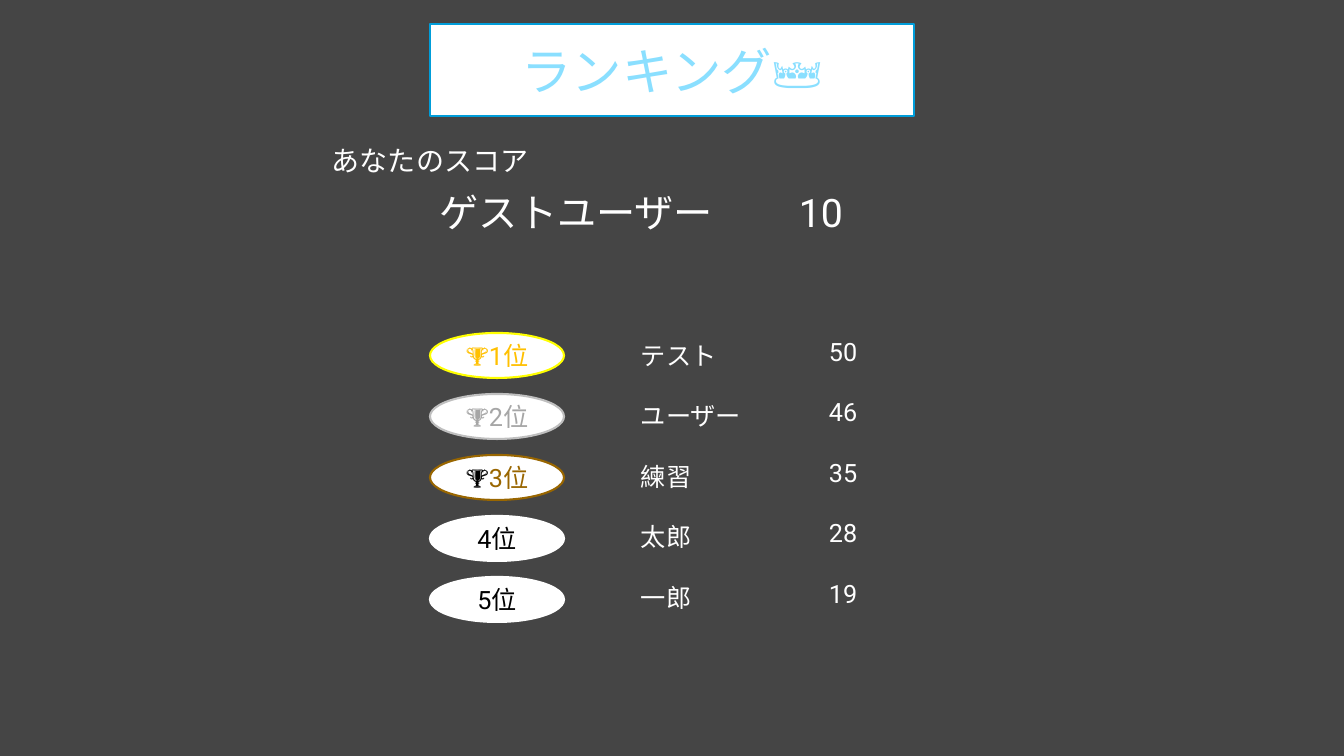
"""Build the quiz ranking slide with the player's own score and the top five."""
from dataclasses import dataclass

from lxml.etree import SubElement
from pptx import Presentation
from pptx.dml.color import RGBColor
from pptx.enum.shapes import MSO_SHAPE as Shape
from pptx.enum.text import MSO_ANCHOR as Anchor, MSO_AUTO_SIZE as AutoSize, PP_ALIGN as Align
from pptx.oxml.ns import qn
from pptx.util import Pt

PX = 12192000 / 1344


@dataclass(frozen=True)
class Theme:
    back: str = "454545"
    white: str = "FFFFFF"
    black: str = "000000"
    accent: str = "009DD9"
    title: str = "8ADFFF"
    title_font: str = "Noto Sans CJK JP"
    font: str = "Roboto"
    title_size: int = 36
    player_size: int = 28
    label_size: int = 20
    row_size: int = 18
    row_gap: float = 21.6


theme = Theme()
deck = Presentation()
deck.slide_width, deck.slide_height = round(1344 * PX), round(756 * PX)
page = deck.slides.add_slide(deck.slide_layouts[6])
page.background.fill.solid()
page.background.fill.fore_color.rgb = RGBColor.from_string(theme.back)


def write(para, spans, size, font=theme.font):
    para.font.size, para.font.name = Pt(size), font
    for text, color in spans:
        span = para.add_run()
        span.text = text
        span.font.color.rgb = RGBColor.from_string(color)


def add_box(kind, left, top, width, height, outline=None):
    area = [round(length * PX) for length in (left, top, width, height)]
    if kind is None:
        box = page.shapes.add_textbox(*area)
        box.text_frame.auto_size = AutoSize.SHAPE_TO_FIT_TEXT
    else:
        box = page.shapes.add_shape(kind, *area)
        box.shadow.inherit = False
        box.fill.solid()
        box.fill.fore_color.rgb = RGBColor.from_string(theme.white)
        box.line.color.rgb = RGBColor.from_string(outline)
        box.line.width = Pt(1.5)
        box.text_frame.vertical_anchor = Anchor.MIDDLE
        box.text_frame.paragraphs[0].alignment = Align.CENTER
    box.text_frame.word_wrap = True
    return box.text_frame


title = add_box(Shape.RECTANGLE, 430, 24, 484, 92, theme.accent).paragraphs[0]
write(title, [("ランキング👑", theme.title)], theme.title_size, theme.title_font)
title_props = title.runs[0].font._element
SubElement(title_props, qn("a:ea"), typeface=theme.title_font)
edge = SubElement(title_props, qn("a:ln"), w=str(Pt(1.75)))
SubElement(SubElement(edge, qn("a:solidFill")), qn("a:srgbClr"), val=theme.accent)
title_props.insert(0, edge)

label = add_box(None, 322, 139, 396, 44).paragraphs[0]
write(label, [("あなたのスコア", theme.white)], theme.label_size)

player = add_box(None, 430, 183, 484, 57).paragraphs[0]
write(player, [("ゲストユーザー\t10", theme.white)], theme.player_size)
tabs = SubElement(player._p.get_or_add_pPr(), qn("a:tabLst"))
SubElement(tabs, qn("a:tab"), pos=str(round(359 * PX)), algn="l")
player._p.pPr.insert(0, tabs)

ranks = [
    ([("🏆1位", "FFC000")], "FFFF00"),
    ([("🏆2位", "A6A6A6")], "BFBFBF"),
    ([("🏆", theme.black), ("3位", "996600")], "996600"),
    ([("4位", theme.black)], theme.white),
    ([("5位", theme.black)], theme.white),
]
for row, (spans, outline) in enumerate(ranks):
    badge = add_box(Shape.OVAL, 430, 333 + 61 * row, 134, 45, outline)
    write(badge.paragraphs[0], spans, theme.row_size)

columns = [
    (631, 335, 315, 0, ["テスト", "ユーザー", "練習", "太郎", "一郎"]),
    (764, 331, 149, 55, ["50", "46", "35", "28", "19"]),
]
for left, top, width, indent, entries in columns:
    column = add_box(None, left, top, width, 285)
    for row, entry in enumerate(entries):
        para = column.add_paragraph() if row else column.paragraphs[0]
        write(para, [(entry, theme.white)], theme.row_size)
        para.space_before = Pt(theme.row_gap if row else 0)
        para._p.get_or_add_pPr().set("marL", str(round(indent * PX)))

deck.save("out.pptx")
